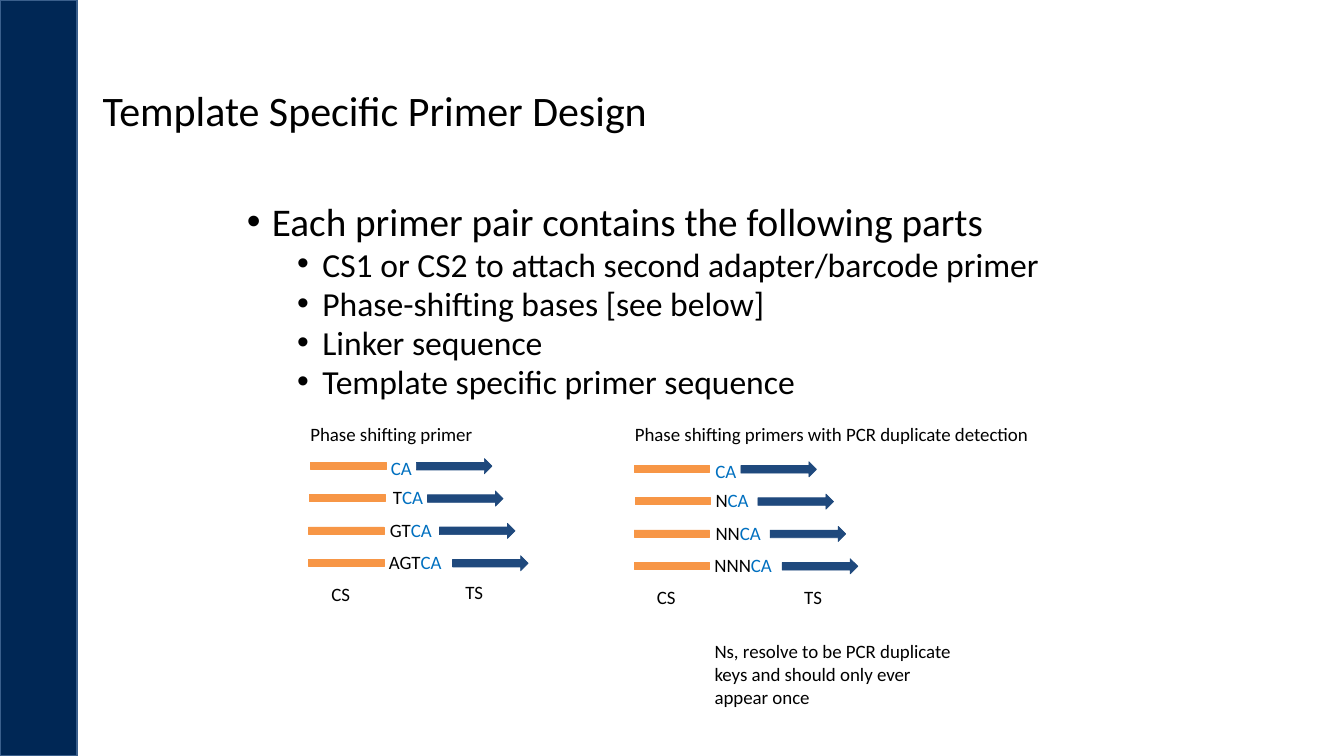
from lxml.etree import SubElement
from pptx import Presentation
from pptx.dml.color import RGBColor
from pptx.enum.shapes import MSO_SHAPE
from pptx.enum.text import MSO_ANCHOR
from pptx.oxml.ns import qn
from pptx.util import Pt

# Content
COLORS = {"band": "002755", "band_edge": "3A5F8C", "text": "000000",
          "linker": "0070C0", "cs": "F79646", "ts": "1F497D"}
FONT = "Calibri"
TITLE = "Template Specific Primer Design"
PARTS = [
    (0, "Each primer pair contains the following parts"),
    (1, "CS1 or CS2 to attach second adapter/barcode primer"),
    (1, "Phase-shifting bases [see below]"),
    (1, "Linker sequence"),
    (1, "Template specific primer sequence"),
]
LEVELS = [  # size, left margin, space before
    (28, 18, 10),
    (24, 54, 5),
]
LINKER = "CA"
BASE_WIDTHS = [35.5, 40, 49, 64]
DIAGRAMS = [
    {"heading": ("Phase shifting primer", 214.6, 142), "top": 327.6,
     "rows": [  # phase-shifting bases, CS left, bases left, TS left
         ("", 221.8, 272.2, 297.4),
         ("T", 221, 273.6, 305.3),
         ("GT", 220.3, 271.4, 313.9),
         ("AGT", 220.3, 270.7, 323.3)],
     "labels": [("CS", 229.7, 412.6), ("TS", 325.4, 411.1)]},
    {"heading": ("Phase shifting primers with PCR duplicate detection", 446.4, 317),
     "top": 329.8,
     "rows": [
         ("", 452.9, 504, 529.2),
         ("N", 453.6, 504, 541.4),
         ("NN", 452.9, 504, 550.1),
         ("NNN", 452.9, 503.3, 558.7)],
     "labels": [("CS", 462.2, 414.7), ("TS", 567.4, 414.7)]},
]
NOTE = "Ns, resolve to be PCR duplicate keys and should only ever appear once"

# Shared measures
HEADING_TOP, ROW_PITCH = 298, 23.1
SEGMENT_WIDTH, ARROW_HEIGHT, BAR_HEIGHT = 54, 10.8, 5
LABEL_WIDTH, LABEL_HEIGHT, SMALL = 64, 23.8, 13.5

deck = Presentation()
deck.slide_width, deck.slide_height = Pt(960), Pt(540)
page = deck.slides.add_slide(deck.slide_layouts[6])


def add_block(kind, left, top, width, height, fill, edge, weight=0.5):
    block = page.shapes.add_shape(kind, Pt(left), Pt(top), Pt(width), Pt(height))
    block.shadow.inherit = False
    block.fill.solid()
    block.fill.fore_color.rgb = RGBColor.from_string(COLORS[fill])
    block.line.color.rgb = RGBColor.from_string(COLORS[edge])
    block.line.width = Pt(weight)


def add_box(left, top, width, height):
    frame = page.shapes.add_textbox(Pt(left), Pt(top), Pt(width), Pt(height)).text_frame
    frame.word_wrap = True
    return frame


def add_span(para, text, size=SMALL, color="text"):
    span = para.add_run()
    span.text = text
    span.font.name = FONT
    span.font.size = Pt(size)
    span.font.color.rgb = RGBColor.from_string(COLORS[color])


def add_label(text, left, top, width=LABEL_WIDTH, height=LABEL_HEIGHT):
    add_span(add_box(left, top, width, height).paragraphs[0], text)


# Side band and title
add_block(MSO_SHAPE.RECTANGLE, 0, 0, 55, 540, "band", "band_edge", 1)
title = add_box(66.2, 28.8, 828, 104.4)
title.vertical_anchor = MSO_ANCHOR.MIDDLE
title.paragraphs[0].line_spacing = 0.9
add_span(title.paragraphs[0], TITLE, 30)

# Bulleted list
body = add_box(169.2, 144, 620.6, 154)
for index, (level, text) in enumerate(PARTS):
    para = body.add_paragraph() if index else body.paragraphs[0]
    size, margin, before = LEVELS[level]
    para.level = level
    para.line_spacing = 0.8
    para.space_before = Pt(before)
    add_span(para, text, size)
    settings = para._p.get_or_add_pPr()
    settings.set("marL", str(Pt(margin)))
    settings.set("indent", str(-Pt(18)))
    SubElement(settings, qn("a:buFont"), typeface="Arial")
    SubElement(settings, qn("a:buChar"), char="•")

# Primer diagrams
for diagram in DIAGRAMS:
    heading, heading_left, heading_width = diagram["heading"]
    add_label(heading, heading_left, HEADING_TOP, heading_width)
    for index, (bases, cs_left, bases_left, ts_left) in enumerate(diagram["rows"]):
        top = diagram["top"] + index * ROW_PITCH
        add_block(MSO_SHAPE.RIGHT_ARROW, ts_left, top, SEGMENT_WIDTH, ARROW_HEIGHT, "ts", "ts")
        add_block(MSO_SHAPE.RECTANGLE, cs_left, top + 2.6, SEGMENT_WIDTH, BAR_HEIGHT, "cs", "cs")
        lift = 7.2 if bases else 5
        para = add_box(bases_left, top - lift, BASE_WIDTHS[index], LABEL_HEIGHT).paragraphs[0]
        if bases:
            add_span(para, bases)
        add_span(para, LINKER, color="linker")
    for text, left, top in diagram["labels"]:
        add_label(text, left, top)

# Note under the second diagram
add_label(NOTE, 503.3, 453.6, 183.6, 56.2)

deck.save("out.pptx")
